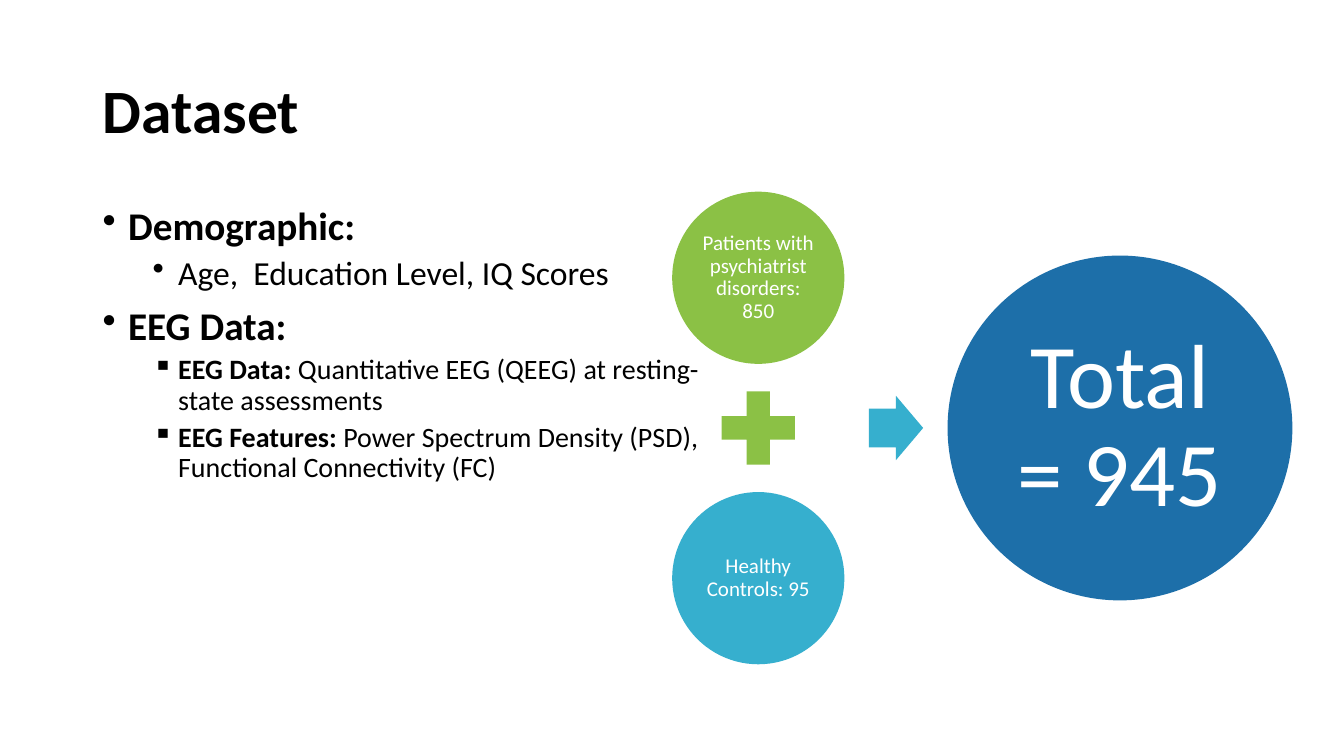
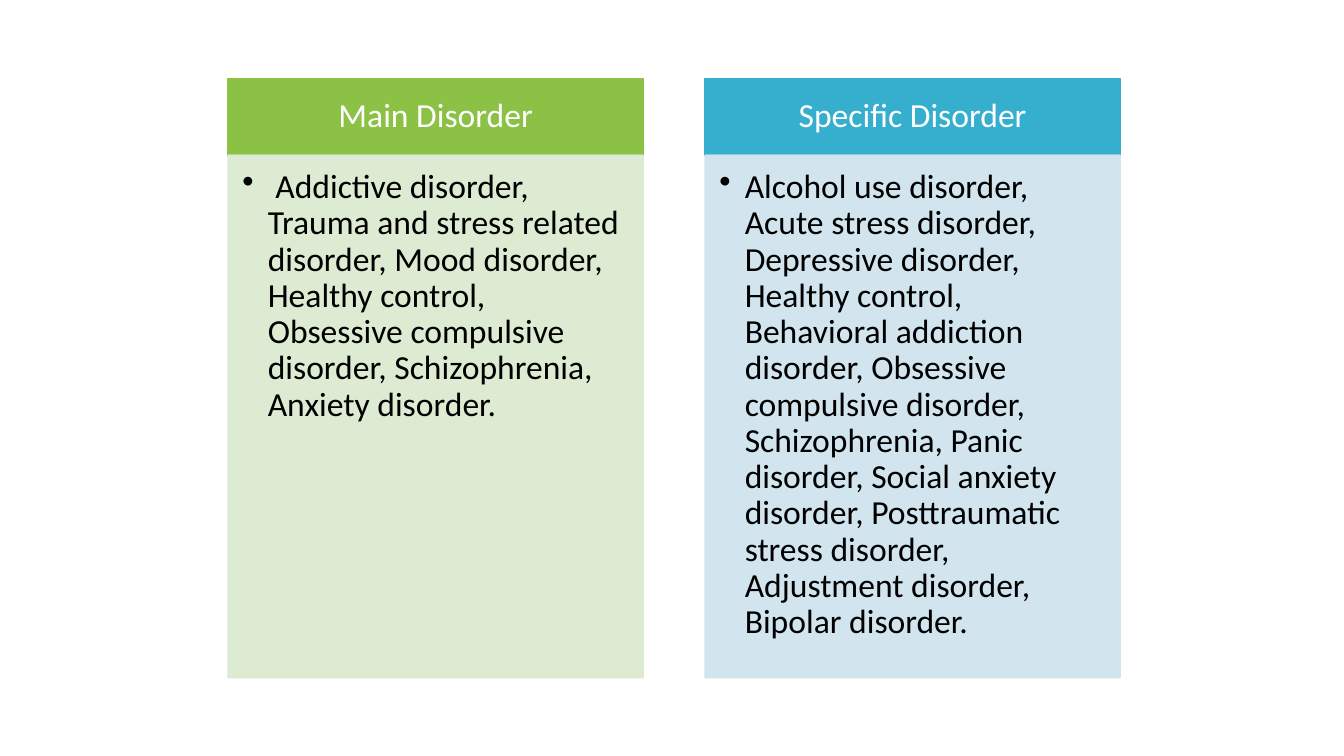
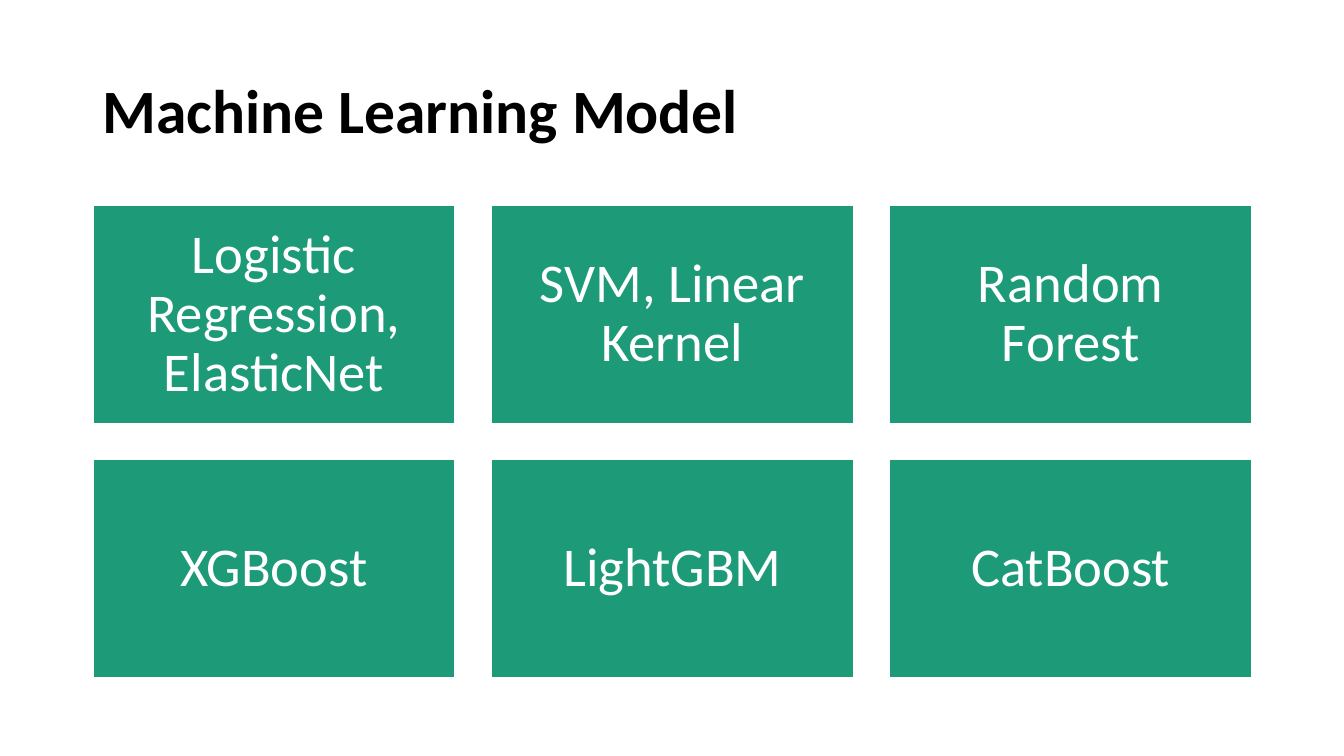
from dataclasses import dataclass

from lxml.etree import SubElement
from pptx import Presentation
from pptx.dml.color import RGBColor
from pptx.enum.shapes import MSO_SHAPE
from pptx.enum.text import MSO_ANCHOR, PP_ALIGN
from pptx.oxml.ns import qn
from pptx.util import Cm, Pt


@dataclass(frozen=True)
class Theme:
    font: str = "Calibri"
    black: str = "000000"
    white: str = "FFFFFF"
    lime: str = "8BC145"
    cyan: str = "36AFCE"
    blue: str = "1D6FA9"
    teal: str = "1D9A78"
    pale_lime: str = "DAE9CF"
    pale_cyan: str = "CEE3ED"
    title: int = 44
    head: int = 28
    text: int = 24
    small: int = 20
    note: int = 15
    tile: int = 39
    total: int = 65


T = Theme()
TITLE = (2.34, 1.02, 29.21, 3.68)


def apply(target, values):
    for name, value in values.items():
        setattr(target, name, value)


# Text helpers
def set_frame(frame, insets=(0.25, 0.13, 0.25, 0.13), anchor=MSO_ANCHOR.TOP):
    sides = ("left", "top", "right", "bottom")
    apply(frame, {f"margin_{side}": Cm(size) for side, size in zip(sides, insets)})
    apply(frame, {"word_wrap": True, "vertical_anchor": anchor})


def add_run(para, text, size, color, bold=False):
    run = para.add_run()
    run.text = text
    apply(run.font, {"name": T.font, "size": Pt(size), "bold": bold})
    run.font.color.rgb = RGBColor.from_string(color)


def add_bullet(para, mark, indent):
    props = para._p.get_or_add_pPr()
    props.set("marL", str(Cm(indent)))
    props.set("indent", str(-Cm(0.64)))
    SubElement(props, qn("a:buChar")).set("char", mark)


def write(shape, text, size, color=T.white, insets=(0.4,) * 4):
    frame = shape.text_frame
    set_frame(frame, insets, MSO_ANCHOR.MIDDLE)
    para = frame.paragraphs[0]
    apply(para, {"alignment": PP_ALIGN.CENTER, "line_spacing": 0.9})
    add_run(para, text, size, color)


# Shape helpers
def add_box(slide, box):
    return slide.shapes.add_textbox(*map(Cm, box))


def add_form(slide, kind, box, fill, line=None, alpha=None):
    shape = slide.shapes.add_shape(kind, *map(Cm, box))
    shape.shadow.inherit = False
    shape.fill.solid()
    shape.fill.fore_color.rgb = RGBColor.from_string(fill)
    if line:
        shape.line.color.rgb = RGBColor.from_string(line)
        shape.line.width = Pt(1)
    else:
        shape.line.fill.background()
    if alpha:
        for color in shape._element.spPr.iter(qn("a:srgbClr")):
            SubElement(color, qn("a:alpha")).set("val", str(alpha * 1000))
    return shape


# Regions
def add_title(slide, text):
    frame = add_box(slide, TITLE).text_frame
    set_frame(frame, anchor=MSO_ANCHOR.MIDDLE)
    frame.paragraphs[0].line_spacing = 0.9
    add_run(frame.paragraphs[0], text, T.title, T.black, True)


def add_list(slide, box, items):
    frame = add_box(slide, box).text_frame
    set_frame(frame)
    for num, (level, mark, size, runs) in enumerate(items):
        para = frame.add_paragraph() if num else frame.paragraphs[0]
        space = 0 if num == 0 else 5 if level else 10
        apply(para, {"level": level, "line_spacing": 0.9, "space_before": Pt(space)})
        add_bullet(para, mark, 1.9 if level else 0.64)
        for text, bold in runs:
            add_run(para, text, size, T.black, bold)


def add_sum(slide, box, parts, total):
    left, top, width, height = box
    small, large, plus = 4.34, 8.69, 2.51
    wide, tall = 1.37, 1.62
    mid = top + height / 2

    # Two groups with a plus sign between them
    for row, (text, fill) in enumerate(parts):
        place = (left, top + row * (height - small), small, small)
        disc = add_form(slide, MSO_SHAPE.OVAL, place, fill)
        write(disc, text, T.note, insets=(0.05,) * 4)
    place = (left + (small - plus) / 2, mid - plus / 2, plus, plus)
    add_form(slide, MSO_SHAPE.MATH_PLUS, place, T.lime)

    # Arrow midway to the total
    space = width - small - large
    place = (left + small + (space - wide) / 2, mid - tall / 2, wide, tall)
    arrow = add_form(slide, MSO_SHAPE.RIGHT_ARROW, place, T.cyan)
    arrow.adjustments[0] = 0.6
    place = (left + width - large, mid - large / 2, large, large)
    disc = add_form(slide, MSO_SHAPE.OVAL, place, T.blue)
    write(disc, total, T.total, insets=(0.23,) * 4)


def add_panel(slide, box, head, text, fill, pale):
    left, top, width, height = box
    band = 1.93
    bar = add_form(slide, MSO_SHAPE.RECTANGLE, (left, top, width, band), fill, fill)
    write(bar, head, T.text, insets=(0.48, 0.28, 0.48, 0.28))
    place = (left, top + band, width, height - band)
    body = add_form(slide, MSO_SHAPE.RECTANGLE, place, pale, pale, alpha=90)
    set_frame(body.text_frame, (0.36, 0.36, 0.48, 0.53))
    para = body.text_frame.paragraphs[0]
    apply(para, {"alignment": PP_ALIGN.LEFT, "line_spacing": 0.9})
    add_bullet(para, "•", 0.64)
    add_run(para, text, T.text, T.black)


def add_grid(slide, box, names, cols=3, gap=0.91):
    left, top, width, height = box
    rows = len(names) // cols
    wide = (width - gap * (cols - 1)) / cols
    tall = (height - gap * (rows - 1)) / rows
    for num, name in enumerate(names):
        row, col = divmod(num, cols)
        place = (left + col * (wide + gap), top + row * (tall + gap), wide, tall)
        tile = add_form(slide, MSO_SHAPE.RECTANGLE, place, T.teal, T.white)
        write(tile, name, T.tile)


# Slides
def data_slide(slide):
    add_title(slide, "Dataset")
    add_list(slide, (2.34, 5.08, 16.15, 12.09), [
        (0, "•", T.head, [("Demographic:", True)]),
        (1, "•", T.text, [("Age,  Education Level, IQ Scores", False)]),
        (0, "•", T.head, [("EEG Data:", True)]),
        (2, "▪", T.small, [
            ("EEG Data:", True),
            (" Quantitative EEG (QEEG) at resting-state assessments", False)]),
        (2, "▪", T.small, [
            ("EEG Features:", True),
            (" Power Spectrum Density (PSD), Functional Connectivity (FC)", False)]),
    ])
    parts = [("Patients with psychiatrist disorders: 850", T.lime),
             ("Healthy Controls: 95", T.cyan)]
    add_sum(slide, (16.94, 4.83, 15.63, 11.91), parts, "Total = 945")


def type_slide(slide):
    panels = [
        ("Main Disorder",
         " Addictive disorder, Trauma and stress related disorder, "
         "Mood disorder, Healthy control, Obsessive compulsive disorder, "
         "Schizophrenia, Anxiety disorder.", T.lime, T.pale_lime),
        ("Specific Disorder",
         "Alcohol use disorder, Acute stress disorder, Depressive disorder, "
         "Healthy control, Behavioral addiction disorder, "
         "Obsessive compulsive disorder, Schizophrenia, Panic disorder, "
         "Social anxiety disorder, Posttraumatic stress disorder, "
         "Adjustment disorder, Bipolar disorder.", T.cyan, T.pale_cyan),
    ]
    width, gap = 10.46, 1.56
    for col, panel in enumerate(panels):
        left = 5.75 + col * (width + gap)
        add_panel(slide, (left, 1.98, width, 15.1), *panel)


def model_slide(slide):
    add_title(slide, "Machine Learning Model")
    add_grid(slide, (2.34, 5.18, 29.21, 11.89), [
        "Logistic Regression, ElasticNet", "SVM, Linear Kernel", "Random Forest",
        "XGBoost", "LightGBM", "CatBoost"])


def main():
    deck = Presentation()
    apply(deck, {"slide_width": Cm(33.87), "slide_height": Cm(19.05)})
    for build in (data_slide, type_slide, model_slide):
        build(deck.slides.add_slide(deck.slide_layouts[6]))
    deck.save("out.pptx")


if __name__ == "__main__":
    main()
